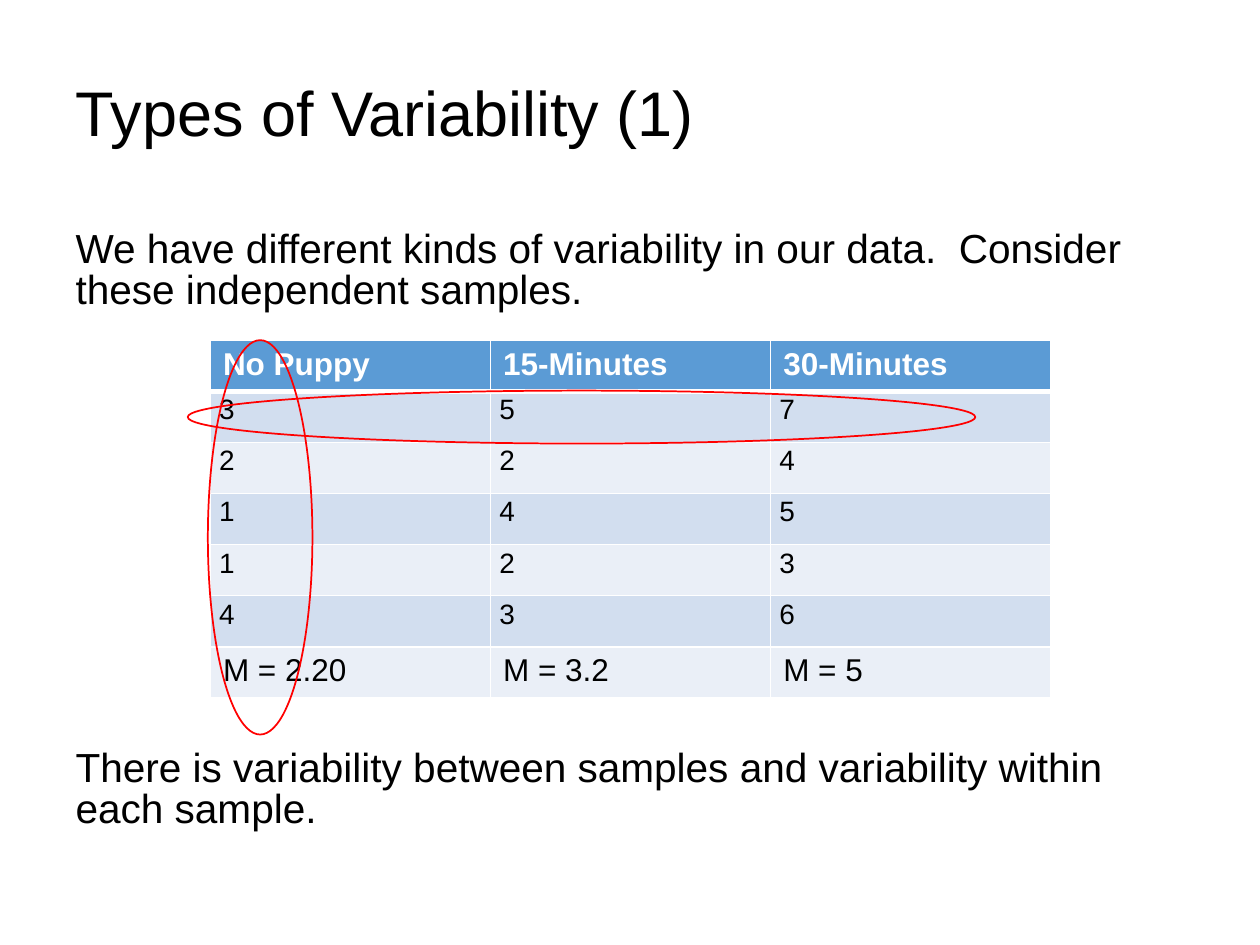
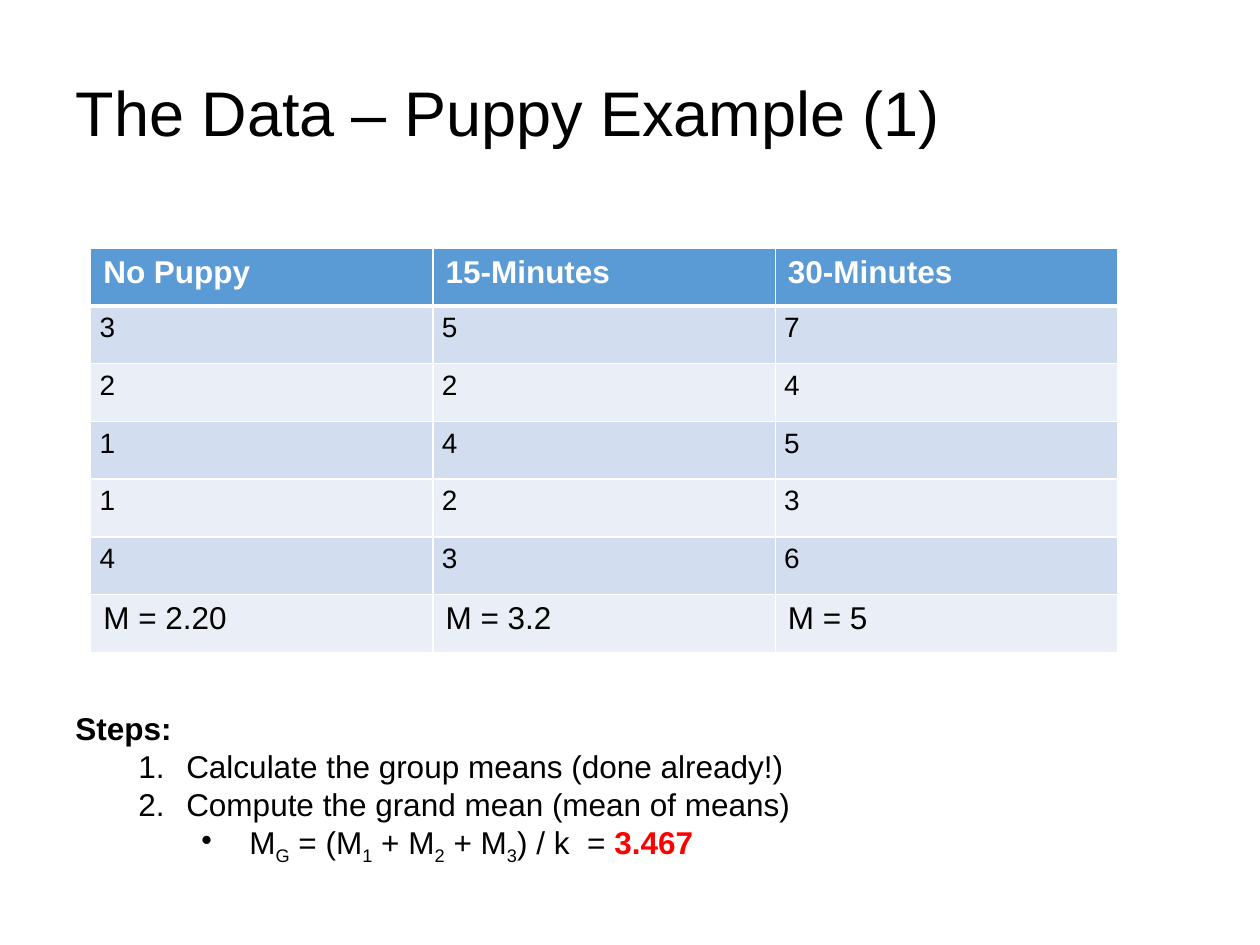
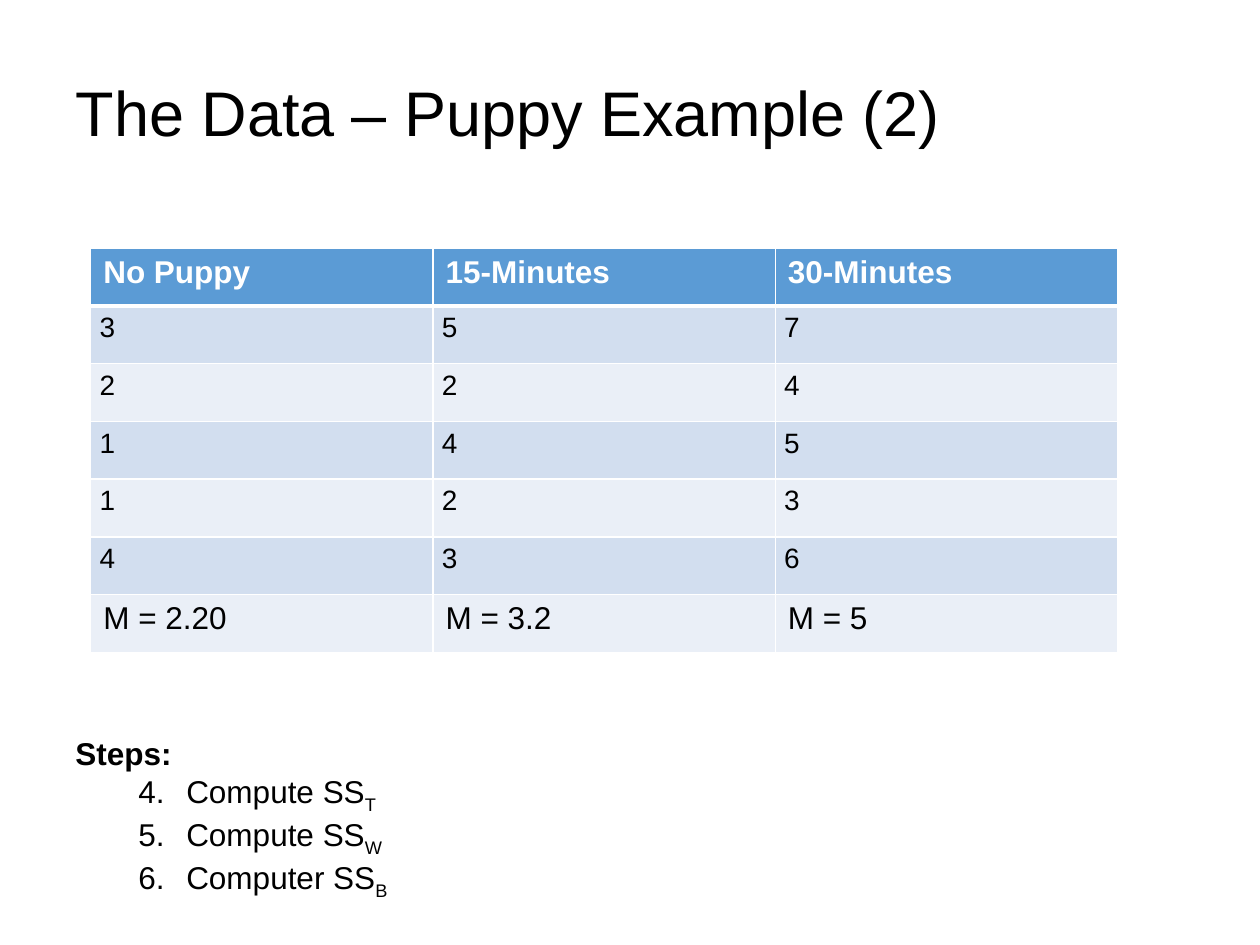
from lxml import etree
from pptx import Presentation
from pptx.dml.color import RGBColor
from pptx.enum.shapes import MSO_SHAPE
from pptx.enum.text import MSO_ANCHOR, MSO_AUTO_SIZE, PP_ALIGN
from pptx.oxml.ns import qn
from pptx.util import Inches, Pt

OVAL = MSO_SHAPE.OVAL
MIDDLE = MSO_ANCHOR.MIDDLE
LEFT = PP_ALIGN.LEFT
GROW = MSO_AUTO_SIZE.SHAPE_TO_FIT_TEXT
NO_FIT = MSO_AUTO_SIZE.NONE

FONT = "Arial"
BLACK = RGBColor(0x00, 0x00, 0x00)
WHITE = RGBColor(0xFF, 0xFF, 0xFF)
RED = RGBColor(0xFF, 0x00, 0x00)
HEADER_BLUE = RGBColor(0x5B, 0x9B, 0xD5)
BANDS = (RGBColor(0xD2, 0xDE, 0xEF), RGBColor(0xEA, 0xEF, 0xF7))

TITLE_AND_CONTENT, TITLE_ONLY = 1, 5

GROUPS = ["No Puppy", "15-Minutes", "30-Minutes"]
SCORES = [(3, 5, 7), (2, 2, 4), (1, 4, 5), (1, 2, 3), (4, 3, 6)]
MEANS = ["M = 2.20", "M = 3.2", "M = 5"]

VARIABILITY_TITLE = "Types of Variability (1)"
VARIABILITY_TEXT = [
    "We have different kinds of variability in our data.  Consider these independent samples.",
    "There is variability between samples and variability within each sample.",
]
ROW_OVAL = (1.49, 3.1, 6.25, 0.42)
COLUMN_OVAL = (1.65, 2.7, 0.83, 3.13)
SMALL_TABLE = (1.67, 2.7, 6.67, 2.84)
LARGE_TABLE = (0.72, 1.97, 8.15, 3.21)

# Each step is (kind, spans); each span is (text, style).
DATA_PAGES = [
    {
        "title": "The Data – Puppy Example (1)",
        "steps_top": 5.58,
        "first_number": 1,
        "steps": [
            ("heading", [("Steps:", "bold")]),
            ("number", [("Calculate the group means (done already!)", "")]),
            ("number", [("Compute the grand mean (mean of means)", "")]),
            ("bullet", [("M", ""), ("G", "sub"), (" = (M", ""), ("1", "sub"),
                        (" + M", ""), ("2", "sub"), (" + M", ""), ("3", "sub"),
                        (") / k  = ", ""), ("3.467", "result")]),
        ],
    },
    {
        "title": "The Data – Puppy Example (2)",
        "steps_top": 5.78,
        "first_number": 4,
        "steps": [
            ("heading", [("Steps:", "bold")]),
            ("number", [("Compute SS", ""), ("T", "sub")]),
            ("number", [("Compute SS", ""), ("W", "sub")]),
            ("number", [("Computer SS", ""), ("B", "sub")]),
        ],
    },
]


def inches(*lengths):
    return [Inches(length) for length in lengths]


def style_font(font, size, color=BLACK, bold=False):
    font.name = FONT
    font.size = Pt(size)
    font.color.rgb = color
    font.bold = bold


def place(shape, left, top, width, height):
    shape.left, shape.top, shape.width, shape.height = inches(left, top, width, height)


def set_bullet(para, margin, indent, tag, **attributes):
    properties = para._p.get_or_add_pPr()
    properties.set("marL", str(Inches(margin)))
    properties.set("indent", str(Inches(indent)))
    etree.SubElement(properties, qn(tag), **attributes)


def add_page(deck, layout, title):
    page = deck.slides.add_slide(deck.slide_layouts[layout])
    heading = page.shapes.title
    place(heading, 0.5, 0.3, 9, 1.25)
    frame = heading.text_frame
    frame.text = title
    frame.vertical_anchor = MIDDLE
    frame.auto_size = NO_FIT
    para = frame.paragraphs[0]
    para.alignment = LEFT
    para.line_spacing = 0.9
    style_font(para.runs[0].font, 36)
    return page


def set_borders(cell, bottom_width):
    properties = cell._tc.get_or_add_tcPr()
    for side, width in (("L", 1), ("R", 1), ("T", 1), ("B", bottom_width)):
        line = etree.SubElement(properties, qn(f"a:ln{side}"), w=str(Pt(width)))
        fill = etree.SubElement(line, qn("a:solidFill"))
        etree.SubElement(fill, qn("a:srgbClr"), val=str(WHITE))


def add_scores_table(page, area):
    rows = [GROUPS, *SCORES, MEANS]
    table = page.shapes.add_table(len(rows), len(GROUPS), *inches(*area)).table
    for column in table.columns:
        column.width = Inches(area[2] / len(GROUPS))
    for row in table.rows:
        row.height = Inches(area[3] / len(rows))

    for row_index, row in enumerate(rows):
        is_header = row is GROUPS
        for column_index, value in enumerate(row):
            cell = table.cell(row_index, column_index)
            cell.text = str(value)
            para = cell.text_frame.paragraphs[0]
            if row in SCORES:
                cell.vertical_anchor = MIDDLE
                cell.margin_left = cell.margin_right = Inches(0.07)
                cell.margin_top = cell.margin_bottom = 0
                para.line_spacing = Pt(10)
                para.space_after = Pt(6)
            style_font(para.runs[0].font, 16 if row in SCORES else 18,
                       WHITE if is_header else BLACK, is_header)
            set_borders(cell, 3 if is_header else 1)
            cell.fill.solid()
            cell.fill.fore_color.rgb = HEADER_BLUE if is_header else BANDS[(row_index - 1) % 2]


def add_oval(page, area):
    oval = page.shapes.add_shape(OVAL, *inches(*area))
    oval.shadow.inherit = False
    oval.fill.background()
    oval.line.color.rgb = RED
    oval.line.width = Pt(1)


def add_variability_page(deck):
    page = add_page(deck, TITLE_AND_CONTENT, VARIABILITY_TITLE)
    body = page.placeholders[1]
    place(body, 0.5, 1.75, 9, 4.95)
    frame = body.text_frame
    frame.text = "\n".join(VARIABILITY_TEXT)
    frame.auto_size = NO_FIT
    frame.margin_top = Inches(0.08)
    for para in frame.paragraphs:
        para.line_spacing = 0.84
        para.space_before = Pt(0)
        set_bullet(para, 0, 0, "a:buNone")
        style_font(para.runs[0].font, 23.2)
    # The closing sentence sits below the table.
    frame.paragraphs[1].space_before = Pt(250)

    add_scores_table(page, SMALL_TABLE)
    for area in (ROW_OVAL, COLUMN_OVAL):
        add_oval(page, area)


def add_steps(page, top, steps, first_number):
    box = page.shapes.add_textbox(*inches(0.5, top, 7.95, 1.92))
    frame = box.text_frame
    frame.word_wrap = True
    frame.auto_size = GROW
    for index, (kind, spans) in enumerate(steps):
        para = frame.add_paragraph() if index else frame.paragraphs[0]
        if kind == "number":
            para.level = 1
            set_bullet(para, 0.88, -0.38, "a:buAutoNum",
                       type="arabicPeriod", startAt=str(first_number))
        elif kind == "bullet":
            para.level = 2
            set_bullet(para, 1.38, -0.38, "a:buChar", char="•")
        for text, style in spans:
            span = para.add_run()
            span.text = text
            style_font(span.font, 18, RED if style == "result" else BLACK,
                       style in ("bold", "result"))
            if style == "sub":
                span._r.get_or_add_rPr().set("baseline", "-25000")


def main():
    deck = Presentation()
    deck.slide_width, deck.slide_height = inches(10, 7.5)
    add_variability_page(deck)
    for content in DATA_PAGES:
        page = add_page(deck, TITLE_ONLY, content["title"])
        add_scores_table(page, LARGE_TABLE)
        add_steps(page, content["steps_top"], content["steps"], content["first_number"])
    deck.save("out.pptx")


if __name__ == "__main__":
    main()
